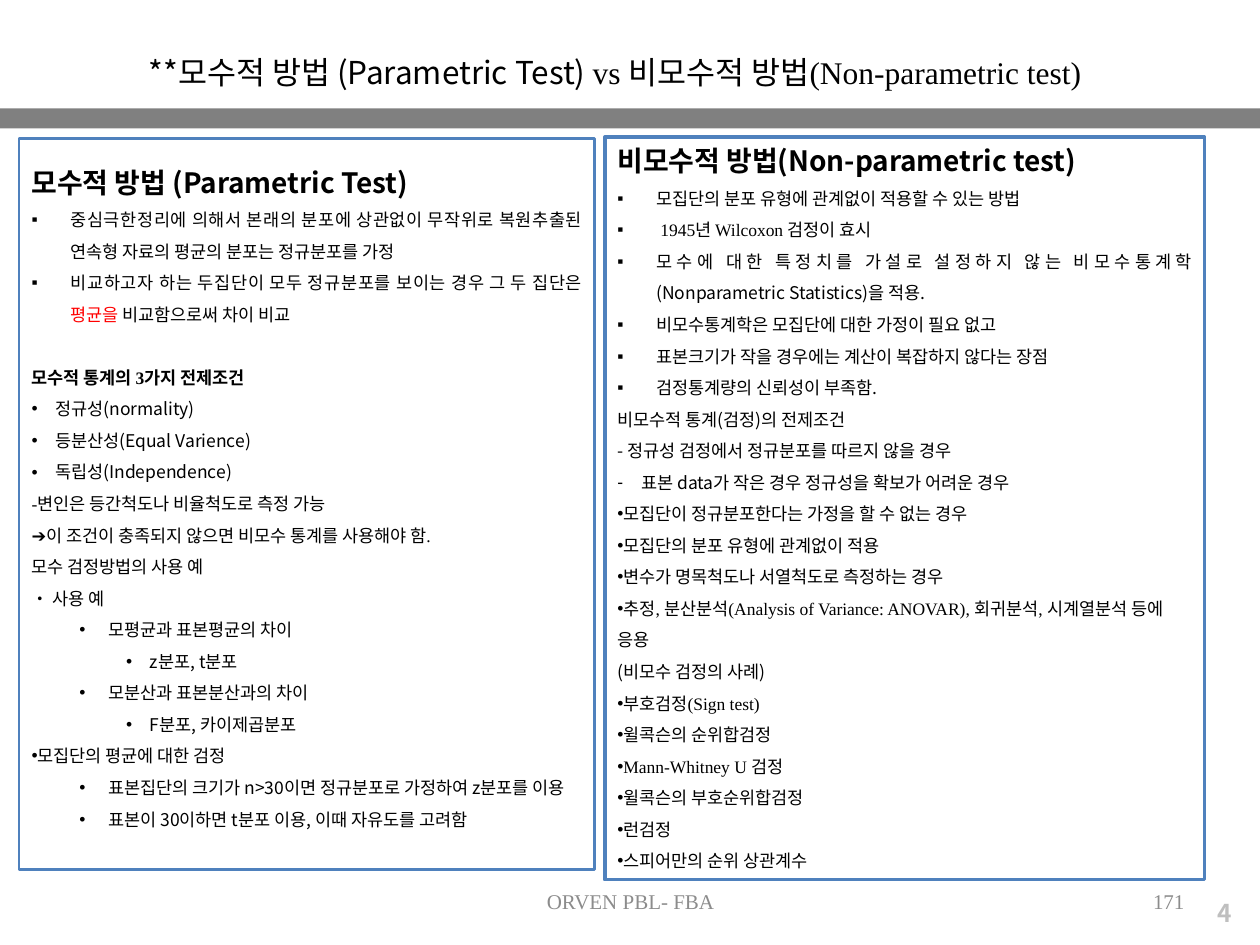
import pptx
import pptx.dml.color
import pptx.enum.shapes
import pptx.enum.text
import pptx.oxml
import pptx.oxml.ns
import pptx.util
from dataclasses import dataclass
from pptx.util import Inches

ALIGN = pptx.enum.text.PP_ALIGN
ANCHOR = pptx.enum.text.MSO_ANCHOR


@dataclass(frozen=True)
class Theme:
    sans: str = "Noto Sans CJK KR"
    serif: str = "Times New Roman"
    text: str = "000000"
    accent: str = "FF0000"
    border: str = "4F81BD"
    bar: str = "808080"
    footer: str = "8C8C8C"
    page: str = "BFBFBF"
    title_size: int = 18
    heading_size: int = 16
    page_size: int = 14
    footer_size: int = 12
    body_size: int = 10


THEME = Theme()
SANS, SERIF = THEME.sans, THEME.serif

# Paragraph styles: bullet, level, left margin, hanging indent, alignment
STYLES = {
    "heading": (None, 0, 0, 0, ALIGN.JUSTIFY),
    "subheading": (None, 0, 0, 0, ALIGN.LEFT),
    "plain": (None, 0, 0, 0, ALIGN.LEFT),
    "square": ("▪", 0, 0.31, 0.31, ALIGN.JUSTIFY),
    "dash": ("-", 0, 0.19, 0.19, ALIGN.JUSTIFY),
    "dot": ("•", 0, 0.19, 0.19, ALIGN.LEFT),
    "flush dot": ("•", 0, 0, 0, ALIGN.LEFT),
    "sub": ("•", 1, 0.61, 0.23, ALIGN.LEFT),
    "subsub": ("•", 2, 0.94, 0.19, ALIGN.LEFT),
}

# Runs: text, font, optional colour
TITLE = [("**모수적 방법 (Parametric Test) ", SANS),
         ("vs 비모수적 방법(Non-parametric test)", SERIF)]

PARAMETRIC = [
    ("heading", [("모수적 방법 (Parametric Test)", SANS)]),
    ("square", [("중심극한정리에 의해서 본래의 분포에 상관없이 무작위로 복원추출된 "
                 "연속형 자료의 평균의 분포는 정규분포를 가정", SERIF)]),
    ("square", [("비교하고자 하는 두집단이 모두 정규분포를 보이는 경우 그 두 집단은 ", SERIF),
                ("평균을 ", SERIF, THEME.accent),
                ("비교함으로써 차이 비교", SERIF)]),
    ("subheading", [("모수적 통계의 3가지 전제조건", SERIF)]),
    ("dot", [("정규성(normality)", SANS)]),
    ("dot", [("등분산성(Equal Varience)", SANS)]),
    ("dot", [("독립성(Independence)", SANS)]),
    ("plain", [("-변인은 등간척도나 비율척도로 측정 가능", SERIF)]),
    ("plain", [("➔이 조건이 충족되지 않으면 비모수 통계를 사용해야 함.", SERIF)]),
    ("plain", [("모수 검정방법의 사용 예", SERIF)]),
    ("plain", [("• ", SERIF), ("사용 예", SANS)]),
    ("sub", [("모평균과 표본평균의 차이", SANS)]),
    ("subsub", [("z분포, t분포", SANS)]),
    ("sub", [("모분산과 표본분산과의 차이", SANS)]),
    ("subsub", [("F분포, 카이제곱분포", SANS)]),
    ("flush dot", [("모집단의 평균에 대한 검정", SANS)]),
    ("sub", [("표본집단의 크기가 n>30이면 정규분포로 가정하여 z분포를 이용", SANS)]),
    ("sub", [("표본이 30이하면 t분포 이용, 이때 자유도를 고려함", SANS)]),
]

NONPARAMETRIC = [
    ("heading", [("비모수적 방법(Non-parametric test)", SANS)]),
    ("square", [("모집단의 분포 유형에 관계없이 적용할 수 있는 방법", SANS)]),
    ("square", [(" ", SANS), ("1945년 Wilcoxon 검정이 효시", SERIF)]),
    ("square", [("모수에 대한 특정치를 가설로 설정하지 않는 "
                 "비모수통계학(Nonparametric Statistics)을 적용.", SANS)]),
    ("square", [("비모수통계학은 모집단에 대한 가정이 필요 없고", SANS)]),
    ("square", [("표본크기가 작을 경우에는 계산이 복잡하지 않다는 장점", SANS)]),
    ("square", [("검정통계량의 신뢰성이 부족함.", SANS)]),
    ("plain", [("비모수적 통계(검정)의 전제조건", SANS)]),
    ("plain", [("- 정규성 검정에서 정규분포를 따르지 않을 경우", SANS)]),
    ("dash", [("표본 data가 작은 경우 정규성을 확보가 어려운 경우", SANS)]),
    ("flush dot", [("모집단이 정규분포한다는 가정을 할 수 없는 경우", SANS)]),
    ("flush dot", [("모집단의 분포 유형에 관계없이 적용", SANS)]),
    ("flush dot", [("변수가 명목척도나 서열척도로 측정하는 경우", SANS)]),
    ("flush dot", [("추정, 분산분석(Analysis of Variance: ANOVAR), 회귀분석, "
                    "시계열분석 등에 응용", SERIF)]),
    ("plain", [("(비모수 검정의 사례)", SANS)]),
    ("flush dot", [("부호검정(Sign test)", SERIF)]),
    ("flush dot", [("윌콕슨의 순위합검정", SANS)]),
    ("flush dot", [("Mann-Whitney U 검정", SERIF)]),
    ("flush dot", [("윌콕슨의 부호순위합검정", SANS)]),
    ("flush dot", [("런검정", SANS)]),
    ("flush dot", [("스피어만의 순위 상관계수", SANS)]),
]

# Panels: content, box, border width, heading line spacing
PANELS = [
    (PARAMETRIC, (0.15, 1.1, 4.57, 5.8), 1.5, 1.6),
    (NONPARAMETRIC, (4.8, 1.09, 4.76, 5.89), 2.25, 1.0),
]

# Labels: text, box, alignment, anchor, font, size, colour, bold
LABELS = [
    ("4", (8.31, 7.08, 1.57, 0.34), ALIGN.RIGHT, ANCHOR.TOP,
     SANS, THEME.page_size, THEME.page, True),
    ("ORVEN PBL- FBA", (3.42, 6.95, 3.17, 0.4), ALIGN.CENTER, ANCHOR.MIDDLE,
     SERIF, THEME.footer_size, THEME.footer, False),
    ("171", (7.17, 6.95, 2.33, 0.4), ALIGN.RIGHT, ANCHOR.MIDDLE,
     SERIF, THEME.footer_size, THEME.footer, False),
]


def rgb(value):
    return pptx.dml.color.RGBColor.from_string(value)


def place(shape, box):
    shape.left, shape.top, shape.width, shape.height = map(Inches, box)


def prepare_frame(shape, anchor=ANCHOR.TOP):
    frame = shape.text_frame
    frame.word_wrap = True
    frame.auto_size = pptx.enum.text.MSO_AUTO_SIZE.NONE
    frame.vertical_anchor = anchor
    return frame


def add_runs(paragraph, runs, size, bold=False):
    for text, font_name, *colour in runs:
        run = paragraph.add_run()
        run.text = text
        run.font.name = font_name
        run.font.size = pptx.util.Pt(size)
        run.font.bold = bold
        run.font.color.rgb = rgb(colour[0] if colour else THEME.text)


def set_bullet(paragraph, bullet, margin, hanging):
    properties = paragraph._p.get_or_add_pPr()
    properties.set("marL", str(Inches(margin)))
    properties.set("indent", str(-Inches(hanging)))
    namespace = pptx.oxml.ns.nsdecls("a")
    if bullet:
        properties.append(pptx.oxml.parse_xml(f'<a:buFont {namespace} typeface="Arial"/>'))
        properties.append(pptx.oxml.parse_xml(f'<a:buChar {namespace} char="{bullet}"/>'))
    else:
        properties.append(pptx.oxml.parse_xml(f"<a:buNone {namespace}/>"))


def fill_panel(shape, content, box, border_width, heading_spacing):
    place(shape, box)
    shape.line.color.rgb = rgb(THEME.border)
    shape.line.width = pptx.util.Pt(border_width)
    frame = prepare_frame(shape)
    for index, (style, runs) in enumerate(content):
        paragraph = frame.add_paragraph() if index else frame.paragraphs[0]
        bullet, level, margin, hanging, alignment = STYLES[style]
        heading = style == "heading"
        set_bullet(paragraph, bullet, margin, hanging)
        paragraph.level = level
        paragraph.alignment = alignment
        paragraph.line_spacing = heading_spacing if heading else 1.5
        paragraph.space_before = pptx.util.Pt(18 if style == "subheading" else 0)
        add_runs(paragraph, runs, THEME.heading_size if heading else THEME.body_size,
                 style in ("heading", "subheading"))


def main():
    presentation = pptx.Presentation()
    presentation.slide_width, presentation.slide_height = Inches(10), Inches(7.5)
    two_content = presentation.slide_layouts[3]
    slide = presentation.slides.add_slide(two_content)
    title, *bodies = slide.placeholders

    bar = slide.shapes.add_shape(pptx.enum.shapes.MSO_SHAPE.RECTANGLE,
                                 *map(Inches, (0, 0.86, 10, 0.16)))
    bar.shadow.inherit = False
    bar.fill.solid()
    bar.fill.fore_color.rgb = rgb(THEME.bar)
    bar.line.fill.background()

    place(title, (1.08, 0.19, 8.05, 1))
    heading = prepare_frame(title).paragraphs[0]
    heading.alignment = ALIGN.JUSTIFY
    heading.line_spacing = 1.6
    add_runs(heading, TITLE, THEME.title_size)

    for body, panel in zip(bodies, PANELS):
        fill_panel(body, *panel)

    for text, box, alignment, anchor, font_name, size, colour, bold in LABELS:
        label = slide.shapes.add_textbox(*map(Inches, box))
        paragraph = prepare_frame(label, anchor).paragraphs[0]
        paragraph.alignment = alignment
        add_runs(paragraph, [(text, font_name, colour)], size, bold)

    presentation.save("out.pptx")


if __name__ == "__main__":
    main()
